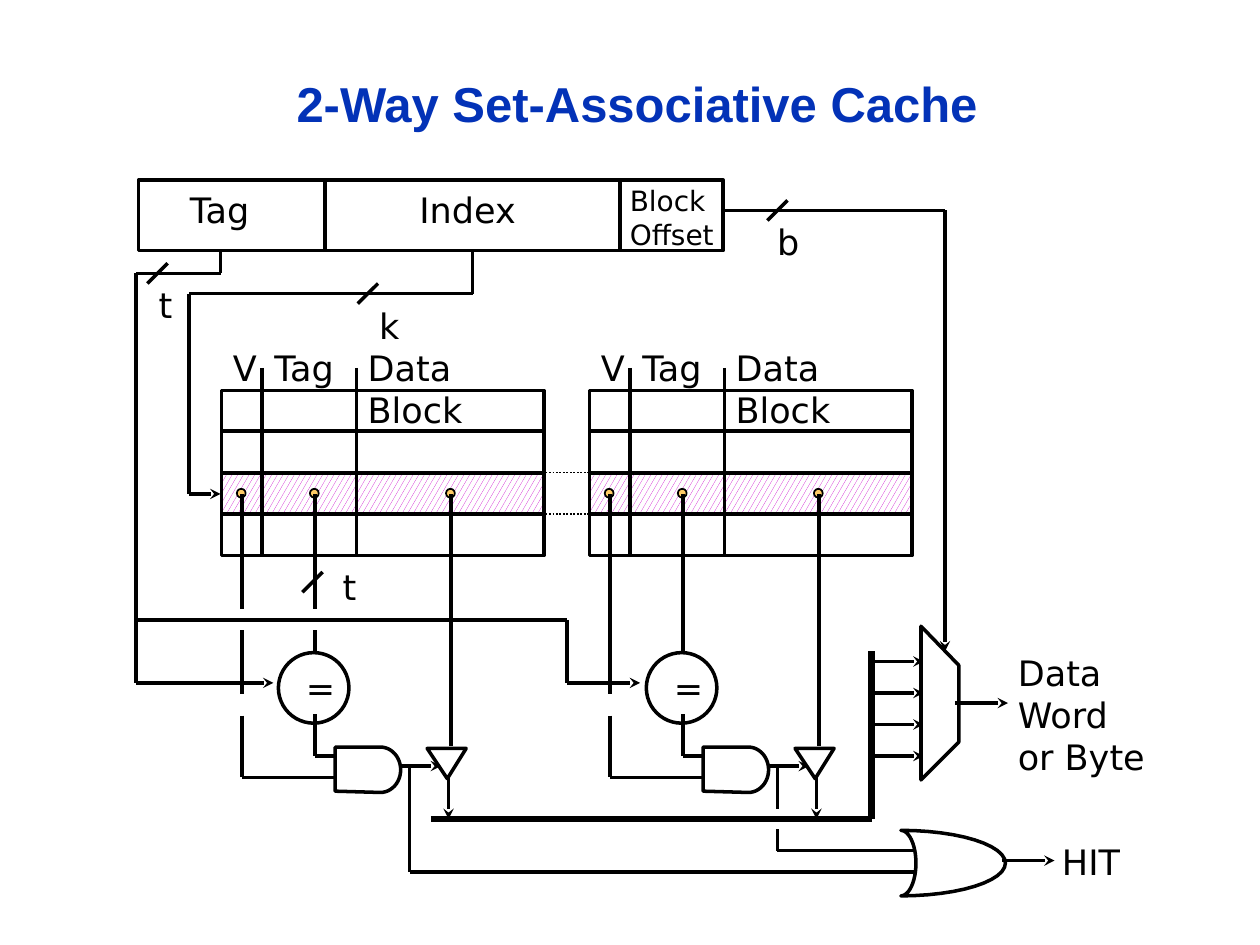
from dataclasses import dataclass
from itertools import pairwise
from math import cos, pi, sin
from typing import Any

from pptx import Presentation
from pptx.dml.color import RGBColor
from pptx.enum.dml import MSO_LINE, MSO_PATTERN
from pptx.enum.shapes import MSO_CONNECTOR, MSO_SHAPE
from pptx.enum.text import MSO_ANCHOR, PP_ALIGN
from pptx.oxml.ns import qn
from pptx.util import Inches, Pt
from lxml.etree import SubElement

COLORS = {"title": "0332B7", "ink": "000000", "paper": "FFFFFF",
          "selected": "CC00CC", "tap": "FFCC66"}


def rgb(name):
    return RGBColor.from_string(COLORS[name])


def half_ellipse(x, y, rx, ry, steps=24):
    """Points of the right half of an ellipse, from top to bottom."""
    angles = [pi * (step / steps - 0.5) for step in range(steps + 1)]
    return [(x + rx * cos(a), y + ry * sin(a)) for a in angles]


@dataclass
class Region:
    """Draws parts at positions in inches, relative to its top left corner."""
    shapes: Any
    left: float
    top: float

    def place(self, x, y):
        return Inches(self.left + x), Inches(self.top + y)

    def style(self, shape, fill=None, weight=2):
        shape.shadow.inherit = False
        if fill:
            shape.fill.solid()
            shape.fill.fore_color.rgb = rgb(fill)
        else:
            shape.fill.background()
        shape.line.color.rgb = rgb("ink")
        shape.line.width = Pt(weight)

    def preset(self, kind, x, y, width, height, fill=None, weight=2):
        shape = self.shapes.add_shape(kind, *self.place(x, y), Inches(width), Inches(height))
        self.style(shape, fill, weight)
        return shape

    def outline(self, points, fill=None):
        corners = [self.place(*point) for point in points]
        builder = self.shapes.build_freeform(*corners[0], scale=1.0)
        builder.add_line_segments(corners[1:], close=True)
        self.style(builder.convert_to_shape(), fill)

    def wire(self, *points, arrow=False, weight=2, dash=None):
        for start, end in pairwise(points):
            line = self.shapes.add_connector(
                MSO_CONNECTOR.STRAIGHT, *self.place(*start), *self.place(*end))
            line.line.color.rgb = rgb("ink")
            line.line.width = Pt(weight)
            if dash:
                line.line.dash_style = dash
            properties = line.element.spPr
            if arrow and end == points[-1]:
                SubElement(properties.find(qn("a:ln")), qn("a:tailEnd"), type="stealth")
            SubElement(properties, qn("a:effectLst"))

    def bus_slash(self, x, y):
        self.wire((x + 0.08, y - 0.08), (x - 0.08, y + 0.08))

    def label(self, text, x, y, width, height=0.43, size=20):
        frame = self.shapes.add_textbox(
            *self.place(x, y), Inches(width), Inches(height)).text_frame
        frame.word_wrap = True
        frame.text = text
        for paragraph in frame.paragraphs:
            paragraph.font.size = Pt(size)
            paragraph.font.name = "DejaVu Sans"
            paragraph.font.color.rgb = rgb("ink")


def add_title(slide, text):
    title = slide.shapes.title
    title.left, title.top = Inches(0.34), Inches(0.38)
    title.width, title.height = Inches(9.43), Inches(0.94)
    title.text_frame.text = text
    title.text_frame.vertical_anchor = MSO_ANCHOR.MIDDLE
    heading = title.text_frame.paragraphs[0]
    heading.alignment = PP_ALIGN.CENTER
    heading.line_spacing = 0.9
    heading.font.size = Pt(28)
    heading.font.name = "Arial"
    heading.font.bold = True
    heading.font.color.rgb = rgb("title")


def add_address(shapes, left, top):
    address = Region(shapes, left, top)
    address.preset(MSO_SHAPE.RECTANGLE, 0, 0, 4.64, 0.56)
    for x in (1.48, 3.82):
        address.wire((x, -0.01), (x, 0.57))
    address.label("Tag", 0.31, 0.02, 0.8)
    address.label("Index", 2.13, 0.02, 1.1)
    address.label("Block\nOffset", 3.8, -0.02, 0.95, 0.64, size=16)


def add_way(shapes, left, top, gap=None):
    """One way of the cache; gap is where its wires break at a crossing."""
    way = Region(shapes, left, top)

    # Rows and columns, with the selected set hatched
    selected = way.preset(MSO_SHAPE.RECTANGLE, 0.01, 0.66, 2.56, 0.32, weight=1)
    selected.fill.patterned()
    selected.fill.pattern = MSO_PATTERN.LARGE_CONFETTI
    selected.fill.fore_color.rgb = rgb("selected")
    selected.fill.back_color.rgb = rgb("paper")
    way.preset(MSO_SHAPE.RECTANGLE, 0.01, 0, 2.56, 1.31)
    for y in (0.32, 0.65, 0.98):
        way.wire((0, y), (2.58, y))
    for x in (0.33, 1.08):
        way.wire((x, -0.18), (x, 1.32))
    for heading, x, width in (("V", 0, 0.45), ("Tag", 0.33, 0.75), ("Data Block", 1.07, 1.1)):
        way.label(heading, x, -0.4, width, 0.74 if " " in heading else 0.43)

    # Taps on the selected set
    for x in (0.13, 0.71, 1.79):
        way.preset(MSO_SHAPE.OVAL, x, 0.78, 0.07, 0.07, "tap", weight=1)

    # Valid, tag and data wires
    valid, tag, data, tap = 0.17, 0.75, 1.83, 0.82
    valid_start = tag_start = tap
    if gap:
        for x in (valid, tag):
            way.wire((x, tap), (x, gap[0]))
        valid_start = tag_start = gap[1]
    way.wire((valid, valid_start), (valid, 2.41))
    way.wire((valid, 2.58), (valid, 3.07), (0.92, 3.07))
    way.wire((tag, tag_start), (tag, 2.25 - 0.18), (tag, 2.25), arrow=True)\
        if not gap else way.wire((tag, tag_start), (tag, 2.25), arrow=True)
    way.wire((data, tap), (data, 2.82))

    # Comparator
    way.preset(MSO_SHAPE.OVAL, 0.46, 2.08, 0.56, 0.56, "paper")
    way.label("=", 0.58, 2.14, 0.45)
    way.wire((tag, 2.57), (tag, 2.9), (0.92, 2.9))

    # AND gate and the buffer it enables
    way.outline([(0.91, 2.83), *half_ellipse(1.27, 3.01, 0.16, 0.18), (0.91, 3.18)])
    way.outline([(1.64, 2.84), (1.95, 2.84), (1.8, 3.08)])
    way.wire((1.42, 2.98), (1.75, 2.98), arrow=True)
    way.wire((1.81, 3.06), (1.81, 3.4), arrow=True)


def add_selector(shapes, left, top):
    selector = Region(shapes, left, top)
    for row in range(4):
        y = 0.28 + 0.25 * row
        selector.wire((-0.39, y), (0.02, y), arrow=True)
    selector.outline([(0, 0), (0.3, 0.31), (0.3, 0.92), (0, 1.22)], "paper")
    selector.wire((0.27, 0.61), (0.69, 0.61), arrow=True)
    selector.label("Data\nWord\nor Byte", 0.67, 0.15, 1.3, 1.1)


def add_hit_gate(shapes, left, top):
    gate = Region(shapes, left, top)
    front = half_ellipse(0, 0.26, 0.83, 0.26)
    back = half_ellipse(0, 0.26, 0.12, 0.26)
    gate.outline(front + back[::-1])
    gate.wire((0.8, 0.24), (1.22, 0.24), arrow=True)
    gate.label("HIT", 1.18, 0.03, 0.75)


def add_wiring(shapes, left, top):
    wiring = Region(shapes, left, top)

    # Address fields: tag, index and block offset
    wiring.wire((1.75, 2), (1.75, 2.17), (1.08, 2.17), (1.08, 5.42), (2.17, 5.42), arrow=True)
    wiring.wire((1.08, 4.92), (4.5, 4.92), (4.5, 5.42), (5.08, 5.42), arrow=True)
    wiring.wire((3.75, 2), (3.75, 2.33), (1.5, 2.33), (1.5, 3.92), (1.75, 3.92), arrow=True)
    wiring.wire((5.75, 1.67), (7.5, 1.67), (7.5, 5.17), arrow=True)
    for width, slash, spot in (("t", (1.25, 2.17), (1.16, 2.2)),
                               ("k", (2.92, 2.33), (2.91, 2.37)),
                               ("b", (6.17, 1.67), (6.07, 1.7)),
                               ("t", (2.48, 4.62), (2.62, 4.44))):
        wiring.bus_slash(*slash)
        wiring.label(width, *spot, 0.45)

    # Selected set continues from one way to the other
    for y in (3.75, 4.08):
        wiring.wire((4.33, y), (4.67, y), weight=1, dash=MSO_LINE.ROUND_DOT)

    # Data bus and hit signals
    wiring.wire((3.42, 6.5), (6.92, 6.5), (6.92, 5.17), weight=4)
    wiring.wire((3.25, 6.08), (3.25, 6.92), (7.25, 6.92))
    wiring.wire((6.17, 6.08), (6.17, 6.42))
    wiring.wire((6.17, 6.58), (6.17, 6.75), (7.25, 6.75))


def main():
    deck = Presentation()
    deck.slide_width, deck.slide_height = Inches(10), Inches(7.5)
    slide = deck.slides.add_slide(deck.slide_layouts[5])
    add_title(slide, "2-Way Set-Associative Cache")
    add_address(slide.shapes, 1.1, 1.43)
    add_way(slide.shapes, 1.75, 3.1, gap=(1.73, 1.9))
    add_way(slide.shapes, 4.67, 3.1)
    add_selector(slide.shapes, 7.31, 4.97)
    add_hit_gate(slide.shapes, 7.15, 6.59)
    add_wiring(slide.shapes, 0, 0)
    deck.save("out.pptx")


if __name__ == "__main__":
    main()
